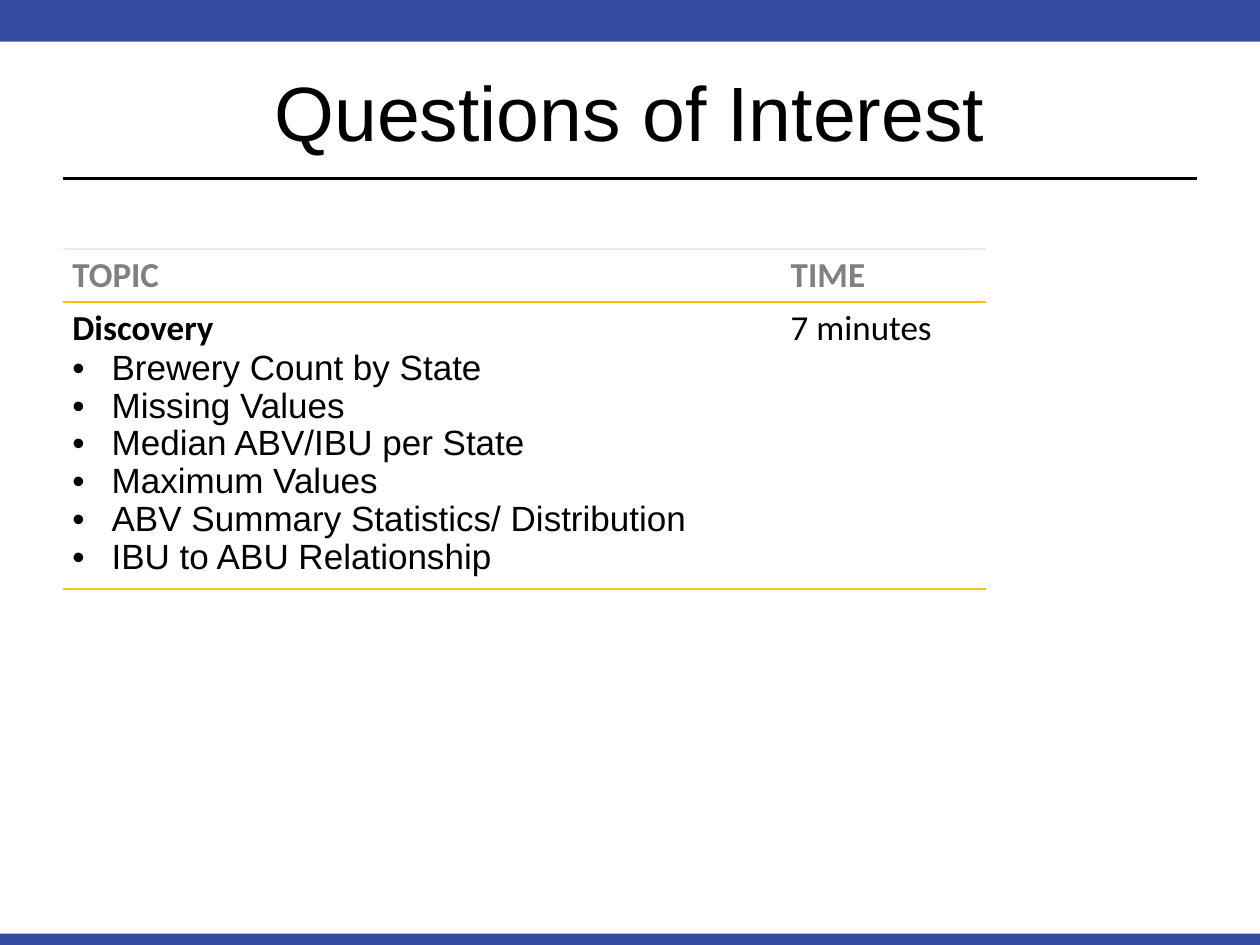
"""Build the Questions of Interest slide with its topic and time table."""
from lxml.etree import SubElement
from pptx import Presentation
from pptx.dml.color import RGBColor
from pptx.enum.shapes import MSO_CONNECTOR, MSO_SHAPE
from pptx.enum.text import MSO_ANCHOR, PP_ALIGN
from pptx.oxml import parse_xml
from pptx.oxml.ns import nsdecls, qn
from pptx.util import Cm, Pt

TITLE = "Questions of Interest"
HEADINGS = ["TOPIC", "TIME"]
TOPIC, TIME = "Discovery", "7 minutes"
QUESTIONS = [
    "Brewery Count by State",
    "Missing Values",
    "Median ABV/IBU per State",
    "Maximum Values",
    "ABV Summary Statistics/ Distribution",
    "IBU to ABU Relationship",
]

BLUE = RGBColor(0x35, 0x4C, 0xA1)
BLACK = RGBColor(0, 0, 0)
GRAY = RGBColor(0x80, 0x80, 0x80)
PALE = RGBColor(0xEE, 0xEC, 0xE1)
GOLD = RGBColor(0xFF, 0xC0, 0x00)
PLAIN_TABLE_STYLE = "{2D5ABB26-0587-4C30-8999-92F81FD0307C}"

WIDTH, HEIGHT, MARGIN = Cm(25.4), Cm(19.05), Cm(1.27)
BARS = [(Cm(0), Cm(0.84)), (Cm(18.82), Cm(0.23))]
RULE_TOP = Cm(3.6)
TABLE_TOP = Cm(5.02)
COLUMNS = [Cm(14.48), Cm(4.13)]
ROWS = [Cm(1.07), Cm(5.78)]
INDENT = Cm(0.79)


def format_text(paragraph, font, size, color, bold=False):
    paragraph.font.name = font
    paragraph.font.size = Pt(size)
    paragraph.font.bold = bold
    paragraph.font.color.rgb = color


def add_bullet(paragraph):
    properties = paragraph._p.get_or_add_pPr()
    properties.set("marL", str(INDENT))
    properties.set("indent", str(-INDENT))
    SubElement(properties, qn("a:buFont")).set("typeface", "Arial")
    SubElement(properties, qn("a:buChar")).set("char", "•")


def format_cell(cell, top, bottom):
    cell.margin_left = cell.margin_right = Cm(0.19)
    cell.margin_top = cell.margin_bottom = Cm(0.1)
    cell.fill.background()
    for place, (side, color) in enumerate([("lnT", top), ("lnB", bottom)]):
        border = parse_xml(
            f'<a:{side} {nsdecls("a")} w="{Pt(1)}"><a:solidFill>'
            f'<a:srgbClr val="{color}"/></a:solidFill></a:{side}>')
        cell._tc.get_or_add_tcPr().insert(place, border)


def add_frame(slide):
    for top, height in BARS:
        bar = slide.shapes.add_shape(MSO_SHAPE.RECTANGLE, 0, top, WIDTH, height)
        bar.shadow.inherit = False
        bar.fill.solid()
        bar.fill.fore_color.rgb = BLUE
        bar.line.fill.background()
    rule = slide.shapes.add_connector(
        MSO_CONNECTOR.STRAIGHT, MARGIN, RULE_TOP, WIDTH - MARGIN, RULE_TOP)
    rule.line.color.rgb = BLACK
    rule.line.width = Pt(1.25)
    SubElement(rule._element.spPr, qn("a:effectLst"))


def add_title(slide):
    title = slide.shapes.title
    title.left, title.top = MARGIN, Cm(0.64)
    title.width, title.height = WIDTH - 2 * MARGIN, Cm(3.18)
    title.text_frame.text = TITLE
    title.text_frame.vertical_anchor = MSO_ANCHOR.MIDDLE
    heading = title.text_frame.paragraphs[0]
    heading.alignment = PP_ALIGN.CENTER
    format_text(heading, "Arial", 44, BLACK)


def add_agenda(slide):
    agenda = slide.shapes.add_table(
        len(ROWS), len(COLUMNS), MARGIN, TABLE_TOP, sum(COLUMNS), sum(ROWS)).table
    agenda._tbl.tblPr.find(qn("a:tableStyleId")).text = PLAIN_TABLE_STYLE
    agenda.horz_banding = False
    for column, width in zip(agenda.columns, COLUMNS):
        column.width = width
    for row, height in zip(agenda.rows, ROWS):
        row.height = height

    for index, (heading, entry) in enumerate(zip(HEADINGS, [TOPIC, TIME])):
        head, body = agenda.cell(0, index), agenda.cell(1, index)
        head.text, body.text = heading, entry
        format_cell(head, PALE, GOLD)
        format_cell(body, GOLD, GOLD)
        format_text(head.text_frame.paragraphs[0], "Calibri", 20, GRAY, True)
        format_text(body.text_frame.paragraphs[0], "Calibri", 20, BLACK, entry == TOPIC)

    for question in QUESTIONS:
        item = agenda.cell(1, 0).text_frame.add_paragraph()
        item.text = question
        item.line_spacing = 0.97
        format_text(item, "Arial", 20, BLACK)
        add_bullet(item)


def main():
    deck = Presentation()
    deck.slide_width, deck.slide_height = WIDTH, HEIGHT
    slide = deck.slides.add_slide(deck.slide_layouts[5])
    add_frame(slide)
    add_title(slide)
    add_agenda(slide)
    deck.save("out.pptx")


if __name__ == "__main__":
    main()
